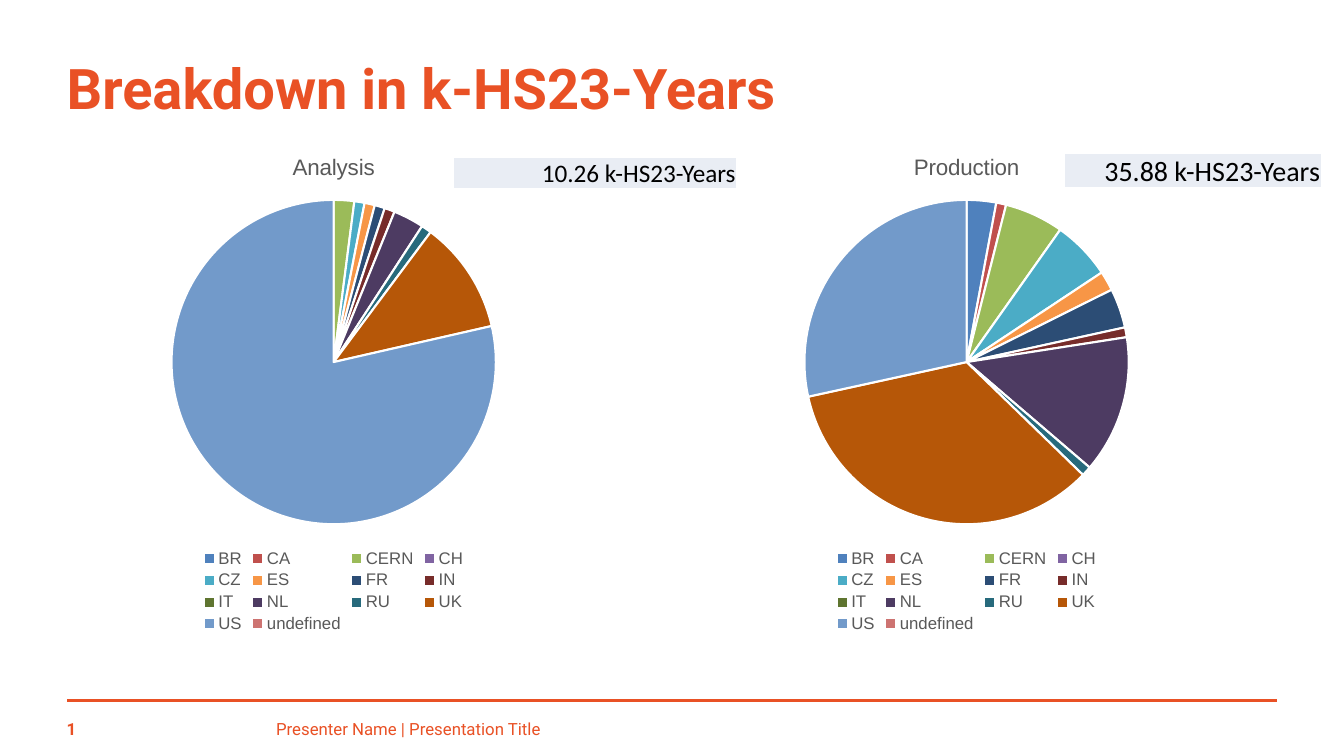
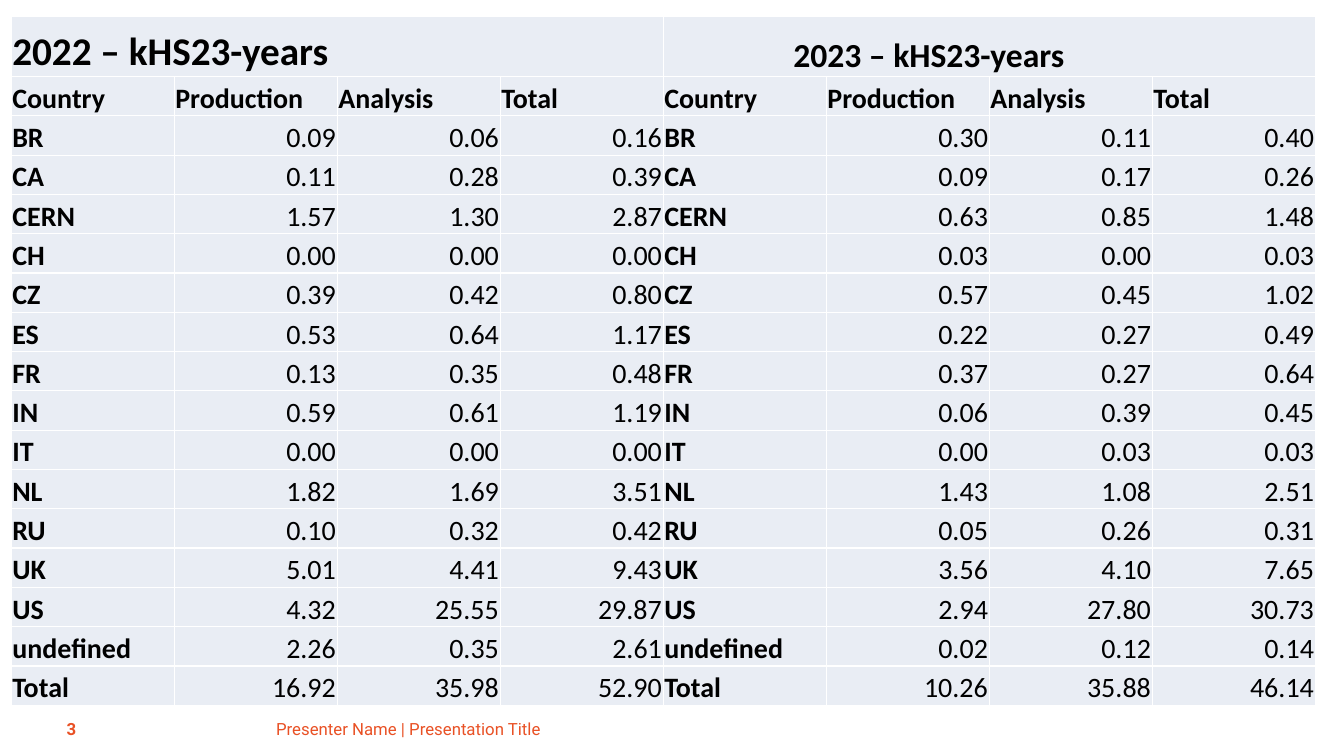
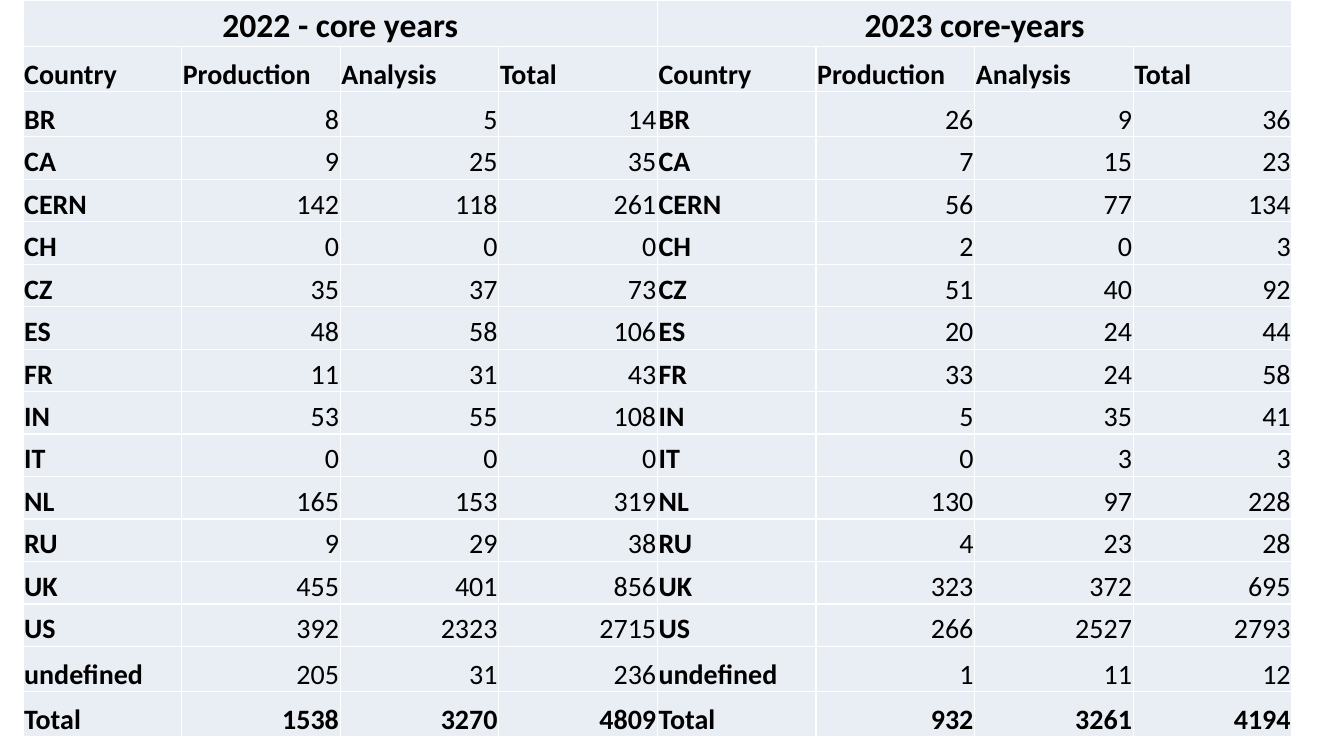
"""Build three slides on computing use per country in 2022 and 2023."""
from lxml import etree
from pptx import Presentation
from pptx.chart.data import CategoryChartData
from pptx.dml.color import RGBColor
from pptx.enum.chart import XL_CHART_TYPE, XL_LEGEND_POSITION
from pptx.enum.shapes import MSO_CONNECTOR
from pptx.enum.text import MSO_ANCHOR, MSO_AUTO_SIZE, PP_ALIGN
from pptx.oxml.ns import qn
from pptx.util import Cm, Pt

PIE = XL_CHART_TYPE.PIE
LEGEND_BOTTOM = XL_LEGEND_POSITION.BOTTOM
STRAIGHT = MSO_CONNECTOR.STRAIGHT
BOTTOM, MIDDLE = MSO_ANCHOR.BOTTOM, MSO_ANCHOR.MIDDLE
NO_FIT = MSO_AUTO_SIZE.NONE
LEFT, CENTER, RIGHT = PP_ALIGN.LEFT, PP_ALIGN.CENTER, PP_ALIGN.RIGHT

ORANGE, BLACK, GRAY, WHITE, PALE = "E95125", "000000", "595959", "FFFFFF", "E9EDF4"
HEADING_FONT, CHART_FONT, TABLE_FONT = "Roboto", "Arial", "Calibri"
CELL_MARGIN = 0.03

TITLE = "Breakdown in k-HS23-Years"
FOOTER = "Presenter Name | Presentation Title"
COUNTRIES = ["BR", "CA", "CERN", "CH", "CZ", "ES", "FR", "IN", "IT", "NL", "RU", "UK", "US",
             "undefined"]
COUNTRY_COLORS = ["4F81BD", "C0504D", "9BBB59", "8064A2", "4BACC6", "F79646", "2C4D75",
                  "772C2A", "5F7530", "4D3B62", "276A7C", "B65708", "729ACA", "CD7371"]
HEADINGS = ["Country", "Production", "Analysis", "Total"]

SHARES = [
    {"name": "Production", "left": 18.01,
     "percent": [3, 1, 6, 0, 6, 2, 4, 1, 0, 14, 1, 35, 29, 0],
     "sum": "35.88 k-HS23-Years", "sum_box": (26.82, 3.86, 6.48, 0.86), "sum_size": 20},
    {"name": "Analysis", "left": 2.06,
     "percent": [0, 0, 2, 0, 1, 1, 1, 1, 0, 3, 1, 11, 77, 0],
     "sum": "10.26 k-HS23-Years", "sum_box": (11.43, 3.96, 7.14, 0.79), "sum_size": 18},
]

HS23_YEARS = {
    "box": (0.28, 0.41, 32.87),
    "heights": [1.52] + [0.99] * 16,
    "years": [{"text": "2022 – kHS23-years", "size": 28},
              {"text": "2023 – kHS23-years", "size": 24, "indent": 3.28}],
    "bold_total": False,
    "values": [
        "0.09 0.06 0.16 0.30 0.11 0.40",
        "0.11 0.28 0.39 0.09 0.17 0.26",
        "1.57 1.30 2.87 0.63 0.85 1.48",
        "0.00 0.00 0.00 0.03 0.00 0.03",
        "0.39 0.42 0.80 0.57 0.45 1.02",
        "0.53 0.64 1.17 0.22 0.27 0.49",
        "0.13 0.35 0.48 0.37 0.27 0.64",
        "0.59 0.61 1.19 0.06 0.39 0.45",
        "0.00 0.00 0.00 0.00 0.03 0.03",
        "1.82 1.69 3.51 1.43 1.08 2.51",
        "0.10 0.32 0.42 0.05 0.26 0.31",
        "5.01 4.41 9.43 3.56 4.10 7.65",
        "4.32 25.55 29.87 2.94 27.80 30.73",
        "2.26 0.35 2.61 0.02 0.12 0.14",
        "16.92 35.98 52.90 10.26 35.88 46.14",
    ],
}

CORE_YEARS = {
    "box": (0.58, 0, 31.98),
    "heights": [1.17, 1.14, 1.14] + [1.07] * 12 + [1.14, 1.14],
    "years": [{"text": "2022 - core years", "size": 24, "align": CENTER},
              {"text": "2023 core-years", "size": 24, "align": CENTER}],
    "bold_total": True,
    "values": [
        "8 5 14 26 9 36",
        "9 25 35 7 15 23",
        "142 118 261 56 77 134",
        "0 0 0 2 0 3",
        "35 37 73 51 40 92",
        "48 58 106 20 24 44",
        "11 31 43 33 24 58",
        "53 55 108 5 35 41",
        "0 0 0 0 3 3",
        "165 153 319 130 97 228",
        "9 29 38 4 23 28",
        "455 401 856 323 372 695",
        "392 2323 2715 266 2527 2793",
        "205 31 236 1 11 12",
        "1538 3270 4809 932 3261 4194",
    ],
}


def rgb(color):
    """Turn a hex string into a colour."""
    return RGBColor.from_string(color)


def style(font, size, face, color, bold=False):
    """Set size, face, colour and weight of a font."""
    font.size, font.name, font.bold = Pt(size), face, bold
    font.color.rgb = rgb(color)


def write(frame, text, size=12, face=HEADING_FONT, color=ORANGE, bold=False, align=LEFT):
    """Put one formatted run into a text frame."""
    paragraph = frame.paragraphs[0]
    paragraph.alignment = align
    run = paragraph.add_run()
    run.text = text
    style(run.font, size, face, color, bold)


def settle(holder, anchor, left=0, top=0, right=0):
    """Set anchor and margins of a text frame or a cell."""
    holder.vertical_anchor = anchor
    holder.margin_left, holder.margin_top = Cm(left), Cm(top)
    holder.margin_right, holder.margin_bottom = Cm(right), Cm(0)


def add_master_rule(prs, slide):
    """Draw the bottom rule and hand it to the master."""
    rule = slide.shapes.add_connector(STRAIGHT, Cm(1.7), Cm(17.65), Cm(32.18), Cm(17.65))
    rule.line.color.rgb = rgb(ORANGE)
    rule.line.width = Pt(2)
    etree.SubElement(rule.element.spPr, qn("a:effectLst"))
    prs.slide_master.shapes.element.append(rule.element)


def add_title(slide, text):
    """Place and fill the title placeholder."""
    title = slide.shapes.title
    title.left, title.top, title.width, title.height = Cm(1.68), Cm(1.3), Cm(30.48), Cm(1.8)
    title.text_frame.auto_size = NO_FIT
    settle(title.text_frame, MIDDLE)
    write(title.text_frame, text, size=40, bold=True)


def add_footer(slide, number):
    """Add the footer line and the page number."""
    for text, left, width, bold in [(FOOTER, 6.96, 16.1, False), (number, 1.68, 1.57, True)]:
        frame = slide.shapes.add_textbox(Cm(left), Cm(18.19), Cm(width), Cm(0.43)).text_frame
        frame.word_wrap = True
        settle(frame, BOTTOM)
        write(frame, text, bold=bold)


def add_share_pie(slide, share):
    """Add a pie of the countries' shares."""
    data = CategoryChartData()
    data.categories = COUNTRIES
    data.add_series(share["name"], share["percent"])
    pie = slide.shapes.add_chart(PIE, Cm(share["left"]), Cm(3.35), Cm(12.7), Cm(12.7), data).chart
    style(pie.font, 10, CHART_FONT, BLACK)
    pie.has_title = True
    write(pie.chart_title.text_frame, share["name"], size=16, face=CHART_FONT, color=GRAY)
    pie.chart_title.include_in_layout = False
    pie.has_legend = True
    pie.legend.position = LEGEND_BOTTOM
    pie.legend.include_in_layout = False
    style(pie.legend.font, 12, CHART_FONT, GRAY)
    plot = pie.plots[0]
    plot.vary_by_categories = True
    for index, color in enumerate(COUNTRY_COLORS):
        slice_format = plot.series[0].points[index].format
        slice_format.fill.solid()
        slice_format.fill.fore_color.rgb = rgb(color)
        slice_format.line.color.rgb = rgb(WHITE)
        slice_format.line.width = Pt(1.5)


def add_grid(slide, box, heights, columns):
    """Add an empty pale table with white borders."""
    left, top, width = box
    frame = slide.shapes.add_table(len(heights), columns, Cm(left), Cm(top), Cm(width),
                                   Cm(sum(heights)))
    grid = frame.table
    grid.first_row = grid.horz_banding = False
    for column in grid.columns:
        column.width = Cm(width / columns)
    for row, height in zip(grid.rows, heights):
        row.height = Cm(height)
    for cell in grid.iter_cells():
        settle(cell, BOTTOM, CELL_MARGIN, CELL_MARGIN, CELL_MARGIN)
        cell.fill.solid()
        cell.fill.fore_color.rgb = rgb(PALE)
    for properties in frame.element.iter(qn("a:tcPr")):
        for index, side in enumerate(("a:lnL", "a:lnR", "a:lnT", "a:lnB")):
            border = etree.Element(qn(side), w=str(Pt(1)))
            fill = etree.SubElement(border, qn("a:solidFill"))
            etree.SubElement(fill, qn("a:srgbClr"), val=WHITE)
            properties.insert(index, border)
    return grid


def fill_cell(cell, text, size=20, bold=False, align=LEFT):
    """Write black table text into a cell."""
    write(cell.text_frame, text, size=size, face=TABLE_FONT, color=BLACK, bold=bold, align=align)


def add_year_table(slide, usage):
    """Add the table that sets two years side by side."""
    per_year = len(HEADINGS)
    grid = add_grid(slide, usage["box"], usage["heights"], per_year * len(usage["years"]))
    names = COUNTRIES + ["Total"]
    for part, year in enumerate(usage["years"]):
        first = part * per_year
        heading = grid.cell(0, first)
        heading.merge(grid.cell(0, first + per_year - 1))
        heading.margin_left = Cm(year.get("indent", CELL_MARGIN))
        fill_cell(heading, year["text"], year["size"], True, year.get("align", LEFT))
        for offset, label in enumerate(HEADINGS):
            fill_cell(grid.cell(1, first + offset), label, bold=True)
        figures = per_year - 1
        for row, (name, values) in enumerate(zip(names, usage["values"]), start=2):
            bold = usage["bold_total"] and name == "Total"
            fill_cell(grid.cell(row, first), name, bold=True)
            own_values = values.split()[part * figures:(part + 1) * figures]
            for offset, value in enumerate(own_values, start=1):
                fill_cell(grid.cell(row, first + offset), value, bold=bold, align=RIGHT)


def main():
    """Build and save the presentation."""
    prs = Presentation()
    prs.slide_width, prs.slide_height = Cm(33.87), Cm(19.05)
    title_only, blank = prs.slide_layouts[5], prs.slide_layouts[6]

    breakdown = prs.slides.add_slide(title_only)
    add_master_rule(prs, breakdown)
    add_title(breakdown, TITLE)
    add_footer(breakdown, "1")
    for share in SHARES:
        add_share_pie(breakdown, share)
    for share in SHARES:
        *box, height = share["sum_box"]
        total = add_grid(breakdown, box, [height], 1).cell(0, 0)
        fill_cell(total, share["sum"], share["sum_size"], align=RIGHT)

    hs23_slide = prs.slides.add_slide(blank)
    add_year_table(hs23_slide, HS23_YEARS)
    add_footer(hs23_slide, "3")

    add_year_table(prs.slides.add_slide(blank), CORE_YEARS)
    prs.save("out.pptx")


if __name__ == "__main__":
    main()
